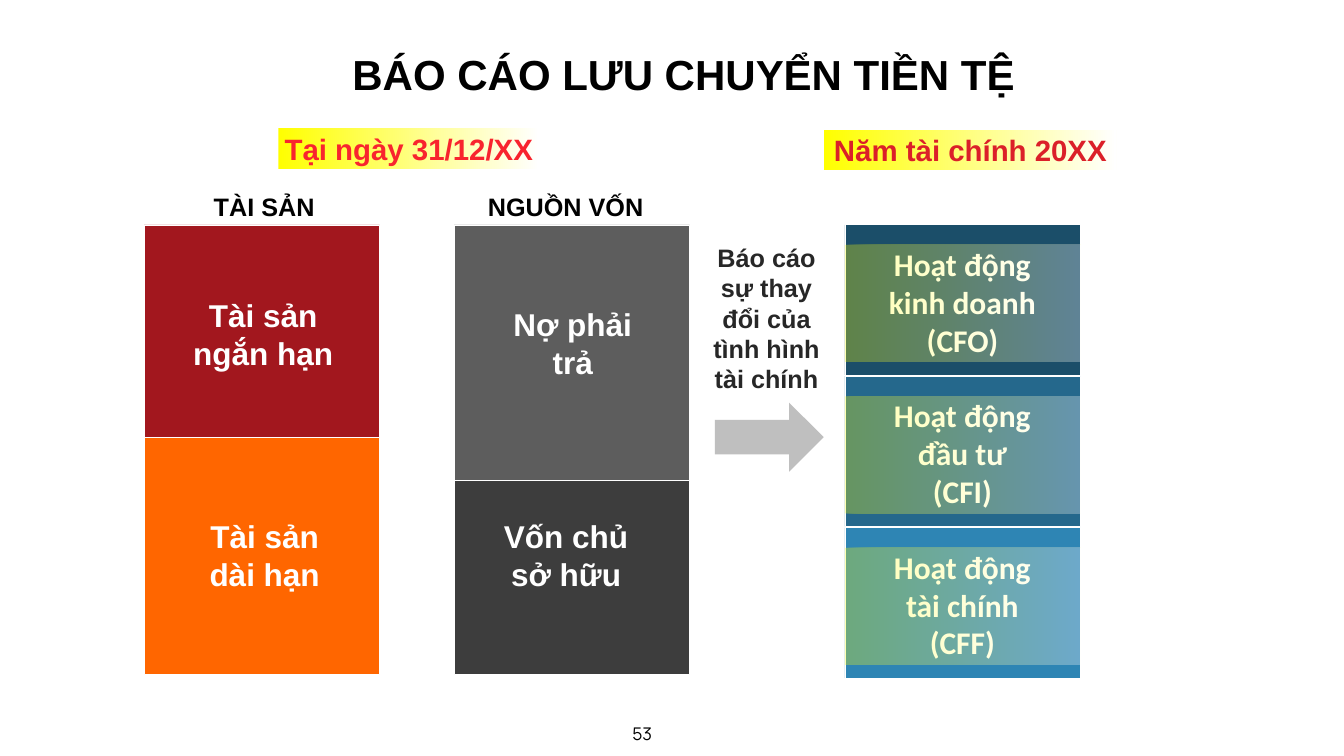
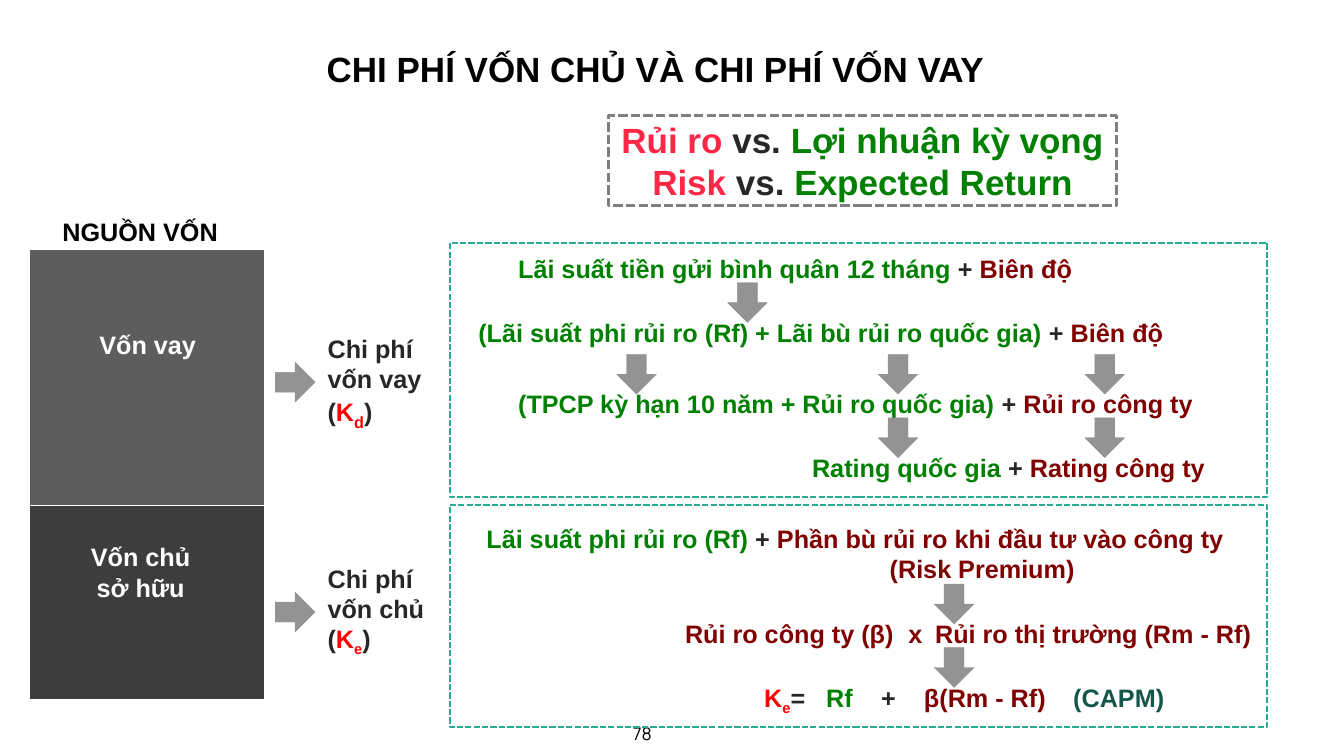
from lxml import etree
from pptx import Presentation
from pptx.dml.color import RGBColor
from pptx.enum import dml, shapes, text
from pptx.oxml.ns import qn
from pptx.util import Inches, Pt

HUES = {
    "black": "000000", "white": "FFFFFF", "ink": "272727", "yellow": "FFFF00",
    "crimson": "A2171E", "orange": "FF6600", "gray": "5D5D5D", "coal": "3D3D3D",
    "date": "F8242E", "year": "DB2029", "navy": "1B4E69", "blue": "25688C",
    "sky": "2E85B4", "silver": "BFBFBF", "arrow": "939393", "red": "FF0000",
    "rose": "FF2746", "green": "008000", "maroon": "800000", "teal": "27AC95",
    "pine": "14564A", "dash": "7F7F7F",
}
LEFT, MID = text.PP_ALIGN.LEFT, text.PP_ALIGN.CENTER
TOP, CORE = text.MSO_ANCHOR.TOP, text.MSO_ANCHOR.MIDDLE
RECT, ARROW = shapes.MSO_SHAPE.RECTANGLE, shapes.MSO_SHAPE.RIGHT_ARROW
PLUS = (" + ", "ink")


def hue(name):
    """Return the colour of that name."""
    return RGBColor.from_string(HUES[name])


def span(box):
    """Turn left, top, width and height into lengths."""
    return [Inches(n) for n in box]


def write(frame, paras, size, tint="ink", face="Arial", align=MID,
          anchor=TOP, wrap=True, bold=True):
    """Fill a frame with paragraphs, each a string or a list of runs."""
    frame.word_wrap = wrap
    frame.vertical_anchor = anchor
    frame.auto_size = text.MSO_AUTO_SIZE.NONE
    for i, runs in enumerate(paras):
        para = frame.add_paragraph() if i else frame.paragraphs[0]
        para.alignment = align
        font = para.font
        font.size, font.name, font.bold = Pt(size), face, bold
        font.color.rgb = hue(tint)
        for word, *look in [(runs,)] if isinstance(runs, str) else runs:
            run = para.add_run()
            run.text = word
            if look:
                run.font.color.rgb = hue(look[0])
            if look[1:]:
                run.font.size = Pt(look[1])
                run.font._element.set("baseline", "-25000")


def label(home, box, paras, size, **look):
    """Add a text box."""
    area = home.shapes.add_textbox(*span(box))
    write(area.text_frame, paras, size, **look)
    return area


def shape(home, box, fill=None, line=None, width=0.5, kind=RECT, dash=False):
    """Add a preset shape with a plain fill and line."""
    item = home.shapes.add_shape(kind, *span(box))
    item.shadow.inherit = False
    if fill:
        item.fill.solid()
        item.fill.fore_color.rgb = hue(fill)
    else:
        item.fill.background()
    if line:
        item.line.color.rgb = hue(line)
        item.line.width = Pt(width)
        if dash:
            item.line.dash_style = dml.MSO_LINE.SQUARE_DOT
    else:
        item.line.fill.background()
    return item


def glow(home, box, alpha=None):
    """Add a band that fades from yellow to white."""
    band = shape(home, box)
    band.fill.gradient()
    band.fill.gradient_angle = 0
    for stop, name in zip(band.fill.gradient_stops, ("yellow", "white")):
        stop.color.rgb = hue(name)
    if alpha:
        for tone in band._element.iter(qn("a:srgbClr")):
            etree.SubElement(tone, qn("a:alpha")).set("val", str(alpha * 1000))
    return band


def arrow(home, x, y, turn=90):
    """Add a small arrow, pointing down by default."""
    item = shape(home, (x, y, 0.79, 0.79), "arrow", "arrow", kind=ARROW)
    item.rotation = turn


def tabs(area, stops):
    """Set the tab stops of the first paragraph, in inches."""
    props = area.text_frame.paragraphs[0]._p.get_or_add_pPr()
    row = etree.Element(qn("a:tabLst"))
    for stop in stops:
        etree.SubElement(row, qn("a:tab"), pos=str(Inches(stop)), algn="l")
    props.find(qn("a:defRPr")).addprevious(row)


def page(deck, title, box, size, num):
    """Start a slide with its title and page number."""
    slide = deck.slides.add_slide(deck.slide_layouts[5])
    head = slide.shapes.title
    head.left, head.top, head.width, head.height = span(box)
    write(head.text_frame, [title], size, "black", align=LEFT)
    head.text_frame.paragraphs[0].line_spacing = 1.1
    label(slide, (11.95, 14.29, 1.58, 0.52), [num], 25, tint="black",
          face="Manrope", bold=False)
    return slide


def stack(slide, x, y, head, shift, parts, size):
    """Draw a headed column of blocks from its top left corner."""
    group = slide.shapes.add_group_shape()
    label(group, (x + shift, y - 0.71, 3.5, 0.71), [head], 36, tint="black",
          anchor=CORE, wrap=False)
    for fill, tall, words, dx, dy in parts:
        shape(group, (x, y, 4.67, tall), fill, "white")
        label(group, (x + dx, y + dy, 3.5, 1.62), words, size, tint="white")
        y += tall


def flows(slide, x, y):
    """Draw the three cash flow blocks, one under another."""
    rows = [("navy", "Hoạt động kinh doanh", "(CFO)"),
            ("blue", "Hoạt động đầu tư", "(CFI)"),
            ("sky", "Hoạt động tài chính", "(CFF)")]
    for i, (fill, *words) in enumerate(rows):
        top = y + i * 3.005
        shape(slide, (x, top, 4.67, 2.98), fill, "white", 1)
        label(slide, (x + 0.58, top + 0.35, 3.5, 2.37), words, 45,
              tint="white", face="Calibri")
        glow(slide, (x, top + 0.4, 4.67, 2.32), 30)


def cash(deck):
    """Build the cash flow statement slide."""
    slide = page(deck, "BÁO CÁO LƯU CHUYỂN TIỀN TỆ",
                 (6.89, 0.81, 13.76, 1.21), 60, "53")
    stack(slide, 2.86, 4.46, "TÀI SẢN", 0.63, [
        ("crimson", 4.22, ["Tài sản", "ngắn hạn"], 0.61, 1.36),
        ("orange", 4.7, ["Tài sản", "dài hạn"], 0.64, 1.53)], 45)
    stack(slide, 9.01, 4.46, "NGUỒN VỐN", 0.46, [
        ("gray", 5.07, ["Nợ phải trả"], 0.6, 1.54),
        ("coal", 3.85, ["Vốn chủ", "sở hữu"], 0.47, 0.68)], 45)
    for box, words, tint in [
            ((5.52, 2.54, 5.18, 0.81), "Tại ngày 31/12/XX", "date"),
            ((16.35, 2.57, 5.8, 0.81), "Năm tài chính 20XX", "year")]:
        write(glow(slide, box).text_frame, [words], 42, tint,
              anchor=CORE, wrap=False)
    label(slide, (13.89, 4.76, 2.63, 3.13),
          ["Báo cáo sự thay đổi của tình hình tài chính"], 36)
    shape(slide, (14.18, 7.99, 2.16, 1.37), "silver", kind=ARROW)
    flows(slide, 16.76, 4.46)


def cost(slide, x, y, words, sign, size):
    """Name a cost of capital beside its arrow."""
    arrow(slide, x, y + 0.63, 0)
    label(slide, (x + 0.94, y, 2.36, 1.92),
          [[(words + " (",), ("K", "red"), (sign, "red", size), (")",)]],
          36, align=LEFT)


def debt(slide, x, y):
    """Draw the box that breaks down the cost of debt."""
    rows = [
        (1.26, 0.16, "Lãi suất tiền gửi bình quân 12 tháng", "Biên độ"),
        (0.47, 1.42, "(Lãi suất phi rủi ro (Rf) + Lãi bù rủi ro quốc gia)",
         "Biên độ"),
        (1.26, 2.84, "(TPCP kỳ hạn 10 năm + Rủi ro quốc gia)",
         "Rủi ro công ty"),
        (7.09, 4.1, "Rating quốc gia", "Rating công ty")]
    for dx, dy, base, more in rows:
        label(slide, (x + dx, y + dy, 14.17, 0.71),
              [[(base, "green"), PLUS, (more, "maroon")]], 36, align=LEFT)
    for dy, spots in [(0.79, [5.51]), (2.21, [3.31, 8.5, 12.6]),
                      (3.47, [8.5, 12.6])]:
        for dx in spots:
            arrow(slide, x + dx, y + dy)
    shape(slide, (x, y, 16.22, 5.04), line="teal", width=3, dash=True)


def equity(slide, x, y):
    """Draw the box that breaks down the cost of equity."""
    area = label(slide, (x + 0.63, y + 0.31, 15.9, 1.31), [
        [("Lãi suất phi rủi ro (Rf)", "green"), PLUS,
         ("Phần bù rủi ro khi đầu tư vào công ty", "maroon")],
        [("(Risk Premium)", "maroon")]], 36, align=LEFT)
    props = area.text_frame.paragraphs[1]._p.get_or_add_pPr()
    props.set("marL", str(Inches(8)))
    area = label(slide, (x + 4.57, y + 2.2, 11.65, 0.71),
                 ["Rủi ro công ty (β)\tx\tRủi ro thị trường (Rm - Rf)"], 36,
                 tint="maroon", align=LEFT)
    tabs(area, [4.43, 4.96])
    area = label(slide, (x + 6.14, y + 3.46, 8.35, 0.71), [[
        ("K", "red"), ("e", "red", 36), ("=\t", "ink"), ("Rf\t", "green"),
        ("+\t", "ink"), ("β(Rm - Rf)\t", "maroon"), ("(CAPM)", "pine")]],
        36, align=LEFT)
    tabs(area, [1.23, 2.32, 3.17, 6.13])
    for dy in (1.57, 2.83):
        arrow(slide, x + 9.61, y + dy)
    shape(slide, (x, y, 16.22, 4.41), line="teal", width=3, dash=True)


def capital(deck):
    """Build the cost of equity and debt slide."""
    slide = page(deck, "CHI PHÍ VỐN CHỦ VÀ CHI PHÍ VỐN VAY",
                 (6.38, 0.8, 16.45, 0.95), 50, "78")
    stack(slide, 0.58, 4.95, "NGUỒN VỐN", 0.45, [
        ("gray", 5.08, ["Vốn vay"], 0.6, 1.54),
        ("coal", 3.84, ["Vốn chủ", "sở hữu"], 0.46, 0.67)], 36)
    cost(slide, 5.46, 6.56, "Chi phí vốn vay", "d", 40)
    cost(slide, 5.46, 11.12, "Chi phí vốn chủ", "e", 36)
    frame = shape(slide, (12.07, 2.3, 10.08, 1.78), line="dash",
                  width=4.5, dash=True).text_frame
    pairs = [("Rủi ro", "Lợi nhuận kỳ vọng"), ("Risk", "Expected Return")]
    write(frame, [[(risk, "rose"), (" vs. ", "ink"), (gain, "green")]
                  for risk, gain in pairs], 50)
    debt(slide, 8.92, 4.82)
    equity(slide, 8.92, 10.02)


def main():
    """Build and save the deck."""
    deck = Presentation()
    deck.slide_width, deck.slide_height = Inches(26.66), Inches(15)
    cash(deck)
    capital(deck)
    deck.save("out.pptx")


if __name__ == "__main__":
    main()
